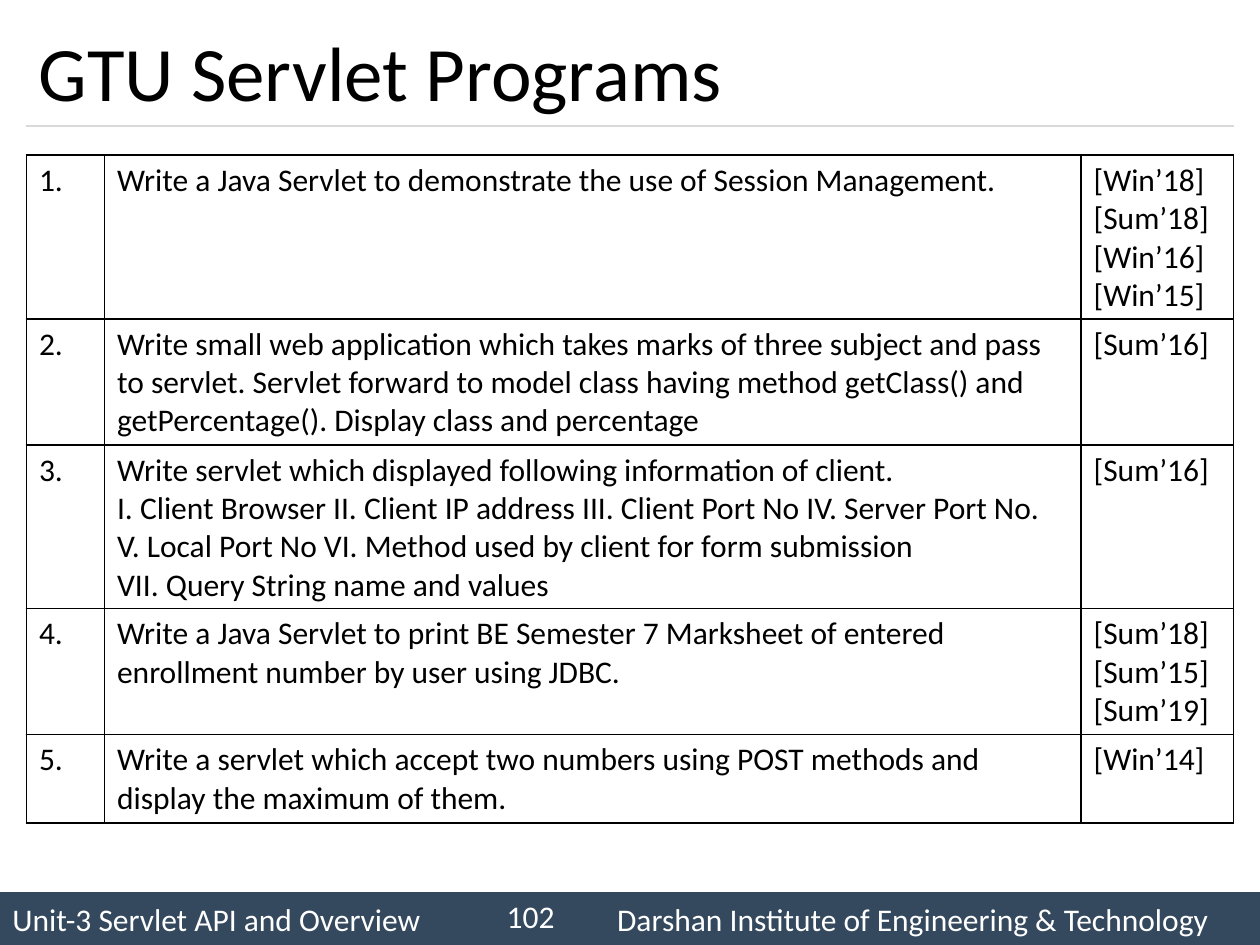
from pptx import Presentation
from pptx.dml.color import RGBColor
from pptx.enum.shapes import MSO_CONNECTOR as Line, MSO_SHAPE as Shape
from pptx.enum.text import MSO_ANCHOR as Anchor, PP_ALIGN as Align
from pptx.oxml.ns import qn
from pptx.util import Inches, Pt
from lxml.etree import SubElement as Sub

WIDE, HIGH = 10, 7.5
EDGE = 0.21
BODY = WIDE - 2 * EDGE
COLS = (0.62, 7.75, 1.21)
INK, WHITE, NAVY, RULE = "000000", "FFFFFF", "34495E", "D9D9D9"

# Row height, question paragraphs, exam terms
TASKS = [
    (1.3, ["Write a Java Servlet to demonstrate the use of Session Management."],
     ["Win’18", "Sum’18", "Win’16", "Win’15"]),
    (1.0, ["Write small web application which takes marks of three subject and pass "
           "to servlet. Servlet forward to model class having method getClass() and "
           "getPercentage(). Display class and percentage"], ["Sum’16"]),
    (1.3, ["Write servlet which displayed following information of client.",
           "I. Client Browser II. Client IP address III. Client Port No IV. Server "
           "Port No. V. Local Port No VI. Method used by client for form submission",
           "VII. Query String name and values"], ["Sum’16"]),
    (1.0, ["Write a Java Servlet to print BE Semester 7 Marksheet of entered "
           "enrollment number by user using JDBC."], ["Sum’18", "Sum’15", "Sum’19"]),
    (0.7, ["Write a servlet which accept two numbers using POST methods and display "
           "the maximum of them."], ["Win’14"]),
]


def color(code):
    return RGBColor.from_string(code)


def inches(*box):
    return [Inches(v) for v in box]


def write(frame, lines, size, ink, align=Align.LEFT, tab=None):
    frame.word_wrap = True
    frame.text = "\n".join(lines)
    for para in frame.paragraphs:
        para.alignment = align
        if tab:
            stops = Sub(para._p.get_or_add_pPr(), qn("a:tabLst"))
            Sub(stops, qn("a:tab"), pos=str(Inches(tab)), algn="l")
        para.font.name = "Calibri"
        para.font.size = Pt(size)
        para.font.color.rgb = color(ink)


def label(slide, box, text, size, ink, align=Align.LEFT):
    frame = slide.shapes.add_textbox(*inches(*box)).text_frame
    frame.vertical_anchor = Anchor.MIDDLE
    write(frame, [text], size, ink, align)


def header(slide, x, y, w, h):
    label(slide, (x, y, w, h), "GTU Servlet Programs", 44, INK)
    rule = slide.shapes.add_connector(Line.STRAIGHT, *inches(x, y + h, x + w, y + h))
    rule.line.color.rgb = color(RULE)
    rule.line.width = Pt(0.75)
    Sub(rule._element.spPr, qn("a:effectLst"))


def border(cell):
    props = cell._tc.get_or_add_tcPr()
    for side in "LRTB":
        line = Sub(props, qn(f"a:ln{side}"), w=str(Pt(1)))
        Sub(Sub(line, qn("a:solidFill")), qn("a:srgbClr"), val=INK)
    Sub(props, qn("a:noFill"))


def task(slide, x, y, w, h, cells):
    table = slide.shapes.add_table(1, len(COLS), *inches(x, y, w, h)).table
    table.first_row = table.horz_banding = False
    for col, width in zip(table.columns, COLS):
        col.width = Inches(width)
    for cell, lines in zip(table.rows[0].cells, cells):
        write(cell.text_frame, lines, 18, INK)
        border(cell)


def tasks(slide, x, y, w):
    for num, (h, text, terms) in enumerate(TASKS, 1):
        task(slide, x, y, w, h, ([f"{num}."], text, [f"[{t}]" for t in terms]))
        y += h


def footer(slide, x, y, w, h):
    bar = slide.shapes.add_shape(Shape.RECTANGLE, *inches(x, y, w, h))
    bar.shadow.inherit = False
    bar.fill.solid()
    bar.fill.fore_color.rgb = color(NAVY)
    bar.line.fill.background()
    frame = bar.text_frame
    frame.vertical_anchor = Anchor.MIDDLE
    # A tab stop parts the unit from the institute
    write(frame, ["Unit-3 Servlet API and Overview\t"
                  "Darshan Institute of Engineering & Technology"],
          18, WHITE, tab=0.48 * w)
    # Page number
    label(slide, (x + 0.38 * w, y - 0.01, 0.07 * w, 0.4), "102", 18, WHITE, Align.RIGHT)


def main():
    deck = Presentation()
    deck.slide_width, deck.slide_height = inches(WIDE, HIGH)
    slide = deck.slides.add_slide(deck.slide_layouts[6])
    header(slide, EDGE, 0.12, BODY, 0.88)
    tasks(slide, EDGE, 1.23, BODY)
    footer(slide, 0, HIGH - 0.42, WIDE, 0.42)
    deck.save("out.pptx")


if __name__ == "__main__":
    main()
